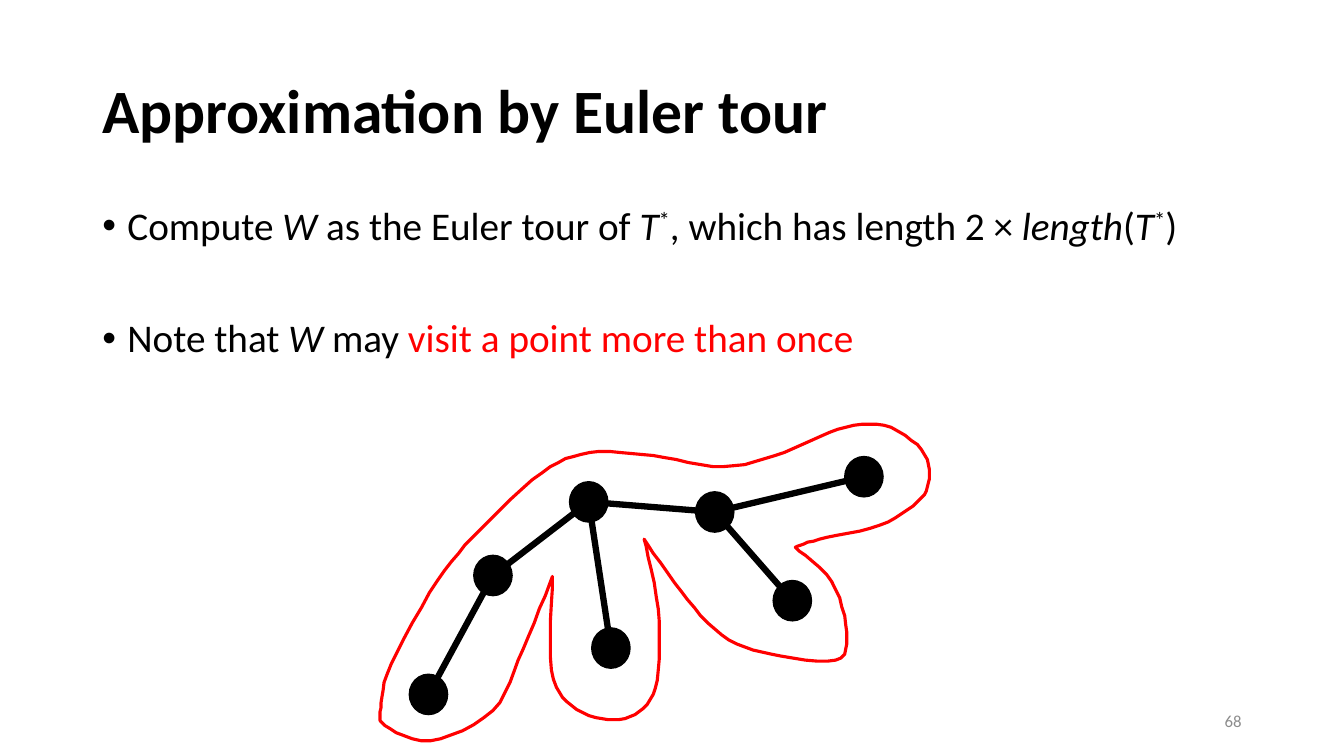
from lxml.etree import SubElement
from pptx import Presentation
from pptx.dml.color import RGBColor
from pptx.enum.shapes import MSO_CONNECTOR, MSO_SHAPE
from pptx.enum.text import MSO_ANCHOR, PP_ALIGN
from pptx.oxml.ns import qn
from pptx.util import Pt

FONT = "Calibri"
BLACK, RED, GRAY = "000000", "FF0000", "8C8C8C"
UNIT = 0.72

BULLETS = [
    [("Compute ", ""), ("W", "i"), (" as the Euler tour of ", ""), ("T", "i"), ("*", "sup"),
     (", which has length 2 × ", ""), ("length", "i"), ("(", ""), ("T", "i"), ("*", "sup"),
     (")", "")],
    [("Note that ", ""), ("W", "i"), (" may ", ""), ("visit a point more than once", "red")],
]

POINTS = {"hub": (206, 76), "bottom": (228, 221), "middle": (331, 86), "left": (111, 149),
          "right": (479, 51), "lower right": (408, 174), "lower left": (47, 267)}
EDGES = [("left", "hub"), ("lower left", "left"), ("hub", "bottom"),
         ("hub", "middle"), ("middle", "lower right"), ("middle", "right")]
TOUR_STRANDS = [
    [(411, 121), (435, 113), (495, 99), (532, 76), (544, 53), (536, 24), (499, 0),
     (453, 4), (400, 27), (340, 41), (270, 30), (207, 27), (160, 47), (99, 103),
     (56, 154), (10, 237), (0, 280), (4, 298), (49, 313), (111, 283), (141, 222),
     (170, 150)],
    [(170, 150), (169, 243), (189, 278), (225, 292), (256, 284), (274, 253),
     (275, 182), (261, 113)],
    [(261, 113), (298, 165), (338, 208), (387, 227), (451, 233), (462, 205),
     (447, 155), (411, 121)],
]


def color(hex_code):
    """Turn a hex string into a colour."""
    return RGBColor.from_string(hex_code)


def smooth(strand, steps=6):
    """Return points along a Catmull-Rom curve through the strand."""
    padded = [strand[0], *strand, strand[-1]]
    curve = []
    for before, start, end, after in zip(padded, padded[1:], padded[2:], padded[3:]):
        for step in range(steps):
            t = step / steps
            curve.append(tuple(
                b + t * (c - a + t * (2 * a - 5 * b + 4 * c - d
                                      + t * (3 * b - 3 * c + d - a))) / 2
                for a, b, c, d in zip(before, start, end, after)))
    return curve


def add_frame(slide, box, anchor=MSO_ANCHOR.TOP):
    """Add a wrapping text box and return its text frame."""
    frame = slide.shapes.add_textbox(*map(Pt, box)).text_frame
    frame.word_wrap = True
    frame.vertical_anchor = anchor
    return frame


def add_run(paragraph, text, size, hex_code=BLACK):
    """Add one run of text and return its font."""
    run = paragraph.add_run()
    run.text = text
    run.font.name = FONT
    run.font.size = Pt(size)
    run.font.color.rgb = color(hex_code)
    return run.font


def add_title(slide, box):
    """Add the slide title."""
    heading = add_frame(slide, box, MSO_ANCHOR.MIDDLE).paragraphs[0]
    heading.line_spacing = 0.9
    add_run(heading, "Approximation by Euler tour", 44).bold = True


def add_bullets(slide, box):
    """Add the bulleted statements."""
    frame = add_frame(slide, box)
    for index, statement in enumerate(BULLETS):
        paragraph = frame.paragraphs[0] if index == 0 else frame.add_paragraph()
        paragraph.line_spacing = 0.9
        if index:
            paragraph.space_before = Pt(50)
        properties = paragraph._p.get_or_add_pPr()
        properties.set("marL", str(Pt(18)))
        properties.set("indent", str(Pt(-18)))
        SubElement(properties, qn("a:buFont"), typeface="Arial")
        SubElement(properties, qn("a:buChar"), char="•")
        for text, style in statement:
            font = add_run(paragraph, text, 28, RED if style == "red" else BLACK)
            font.italic = style == "i"
            if style == "sup":
                font._element.set("baseline", "30000")


def add_tree_tour(slide, box):
    """Draw the spanning tree and the tour around it."""
    left, top = box[:2]

    def place(x, y):
        """Map diagram units to a slide position."""
        return Pt(left + x * UNIT), Pt(top + y * UNIT)

    width, height = 38, 40
    for x, y in POINTS.values():
        dot = slide.shapes.add_shape(
            MSO_SHAPE.OVAL, *place(x - width / 2, y - height / 2),
            Pt(width * UNIT), Pt(height * UNIT))
        dot.shadow.inherit = False
        dot.fill.solid()
        dot.fill.fore_color.rgb = color(BLACK)
        dot.line.color.rgb = color(BLACK)
        dot.line.width = Pt(1)

    for start, end in EDGES:
        edge = slide.shapes.add_connector(
            MSO_CONNECTOR.STRAIGHT, *place(*POINTS[start]), *place(*POINTS[end]))
        edge.line.color.rgb = color(BLACK)
        edge.line.width = Pt(4.5)
        SubElement(edge._element.spPr, qn("a:effectLst"))

    outline = [point for strand in TOUR_STRANDS for point in smooth(strand)]
    builder = slide.shapes.build_freeform(*outline[0], scale=Pt(UNIT))
    builder.add_line_segments(outline[1:], close=True)
    tour = builder.convert_to_shape(*place(0, 0))
    tour.shadow.inherit = False
    tour.fill.background()
    tour.line.color.rgb = color(RED)
    tour.line.width = Pt(2.25)


def add_page_number(slide, box):
    """Add the page number."""
    number = add_frame(slide, box, MSO_ANCHOR.MIDDLE).paragraphs[0]
    number.alignment = PP_ALIGN.RIGHT
    add_run(number, "68", 12, GRAY)


def main():
    """Build and save the slide."""
    deck = Presentation()
    deck.slide_width, deck.slide_height = Pt(960), Pt(540)
    slide = deck.slides.add_slide(deck.slide_layouts[6])
    add_title(slide, (66, 28.8, 828, 104.4))
    add_bullets(slide, (66, 144, 828, 342.7))
    add_tree_tour(slide, (272.2, 303.8, 391.7, 225.4))
    add_page_number(slide, (678, 500.4, 216, 28.8))
    deck.save("out.pptx")


if __name__ == "__main__":
    main()
